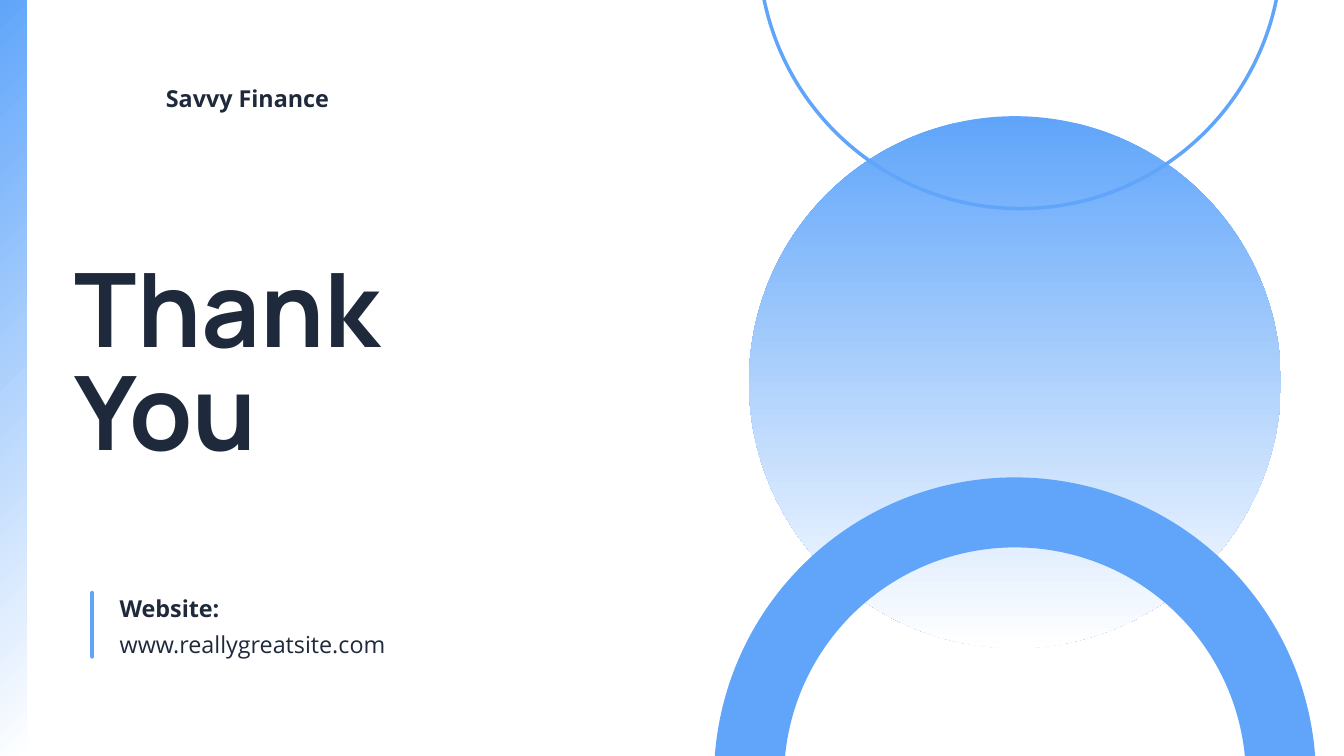
from dataclasses import dataclass
from typing import Optional

from lxml import etree
from pptx import Presentation
from pptx.dml.color import RGBColor
from pptx.enum import shapes, text
from pptx.oxml import ns
from pptx.util import Pt

PX = 9525  # EMU per px, 96 px to the inch
WIDTH, HEIGHT = 1920, 1080

BLUE = RGBColor(0x60, 0xA5, 0xFA)
WHITE = RGBColor(0xFF, 0xFF, 0xFF)
NAVY = RGBColor(0x1E, 0x29, 0x3B)


@dataclass(frozen=True)
class Circle:
    left: int
    top: int
    size: int
    line_pt: Optional[float] = None  # None: gradient disc


@dataclass(frozen=True)
class Label:
    words: str
    left: int
    top: int
    width: int
    height: int
    font: str = "Open Sans"
    size: int = 25
    spacing: int = 35
    bold: bool = True
    align: text.PP_ALIGN = text.PP_ALIGN.LEFT


TITLE = dict(left=107, height=208, font="Manrope", size=110, spacing=154,
             align=text.PP_ALIGN.JUSTIFY)
SMALL = dict(width=418, height=44)

CIRCLES = [
    Circle(1070, 166, 760),
    Circle(1084, -449, 747, line_pt=3.75),
    Circle(1070, 732, 760, line_pt=75),
]
LABELS = [
    Label("Thank", top=321, width=1001, **TITLE),
    Label("You", top=468, width=803, **TITLE),
    Label("Savvy Finance", 237, 113, **SMALL),
    Label("Website:", 171, 842, **SMALL),
    Label("www.reallygreatsite.com", 171, 894, bold=False, **SMALL),
]


def fill_gradient(sp, angle: int) -> None:
    """Blue to white; the angle runs counter-clockwise."""
    sp.fill.gradient()
    sp.fill.gradient_angle = angle
    for stop, color in zip(sp.fill.gradient_stops, (BLUE, WHITE)):
        stop.color.rgb = color
    sp.line.fill.background()


def add_bar(s, width: int) -> None:
    sp = s.shapes.add_shape(shapes.MSO_SHAPE.RECTANGLE, 0, 0, width * PX, HEIGHT * PX)
    sp.shadow.inherit = False
    fill_gradient(sp, 315)


def add_rule(s, x: int, top: int, bottom: int) -> None:
    rule = s.shapes.add_connector(shapes.MSO_CONNECTOR.STRAIGHT,
                                  x * PX, top * PX, x * PX, bottom * PX)
    rule.line.color.rgb = BLUE
    rule.line.width = Pt(4.5)
    rule.line._get_or_add_ln().set("cap", "rnd")
    etree.SubElement(rule._element.spPr, ns.qn("a:effectLst"))


def add_circle(s, c: Circle) -> None:
    sp = s.shapes.add_shape(shapes.MSO_SHAPE.OVAL, c.left * PX, c.top * PX,
                            c.size * PX, c.size * PX)
    sp.shadow.inherit = False
    if c.line_pt is None:
        fill_gradient(sp, 270)
    else:
        sp.fill.background()
        sp.line.color.rgb = BLUE
        sp.line.width = Pt(c.line_pt)


def add_label(s, label: Label) -> None:
    box = s.shapes.add_textbox(label.left * PX, label.top * PX,
                               label.width * PX, label.height * PX)
    tf = box.text_frame
    tf.margin_left = tf.margin_top = tf.margin_right = tf.margin_bottom = 0
    tf.word_wrap = True
    tf.auto_size = text.MSO_AUTO_SIZE.SHAPE_TO_FIT_TEXT
    tf.text = label.words
    p = tf.paragraphs[0]
    p.alignment = label.align
    p.line_spacing = Pt(label.spacing)
    r = p.runs[0]
    r.font.name = label.font
    r.font.size = Pt(label.size)
    r.font.bold = label.bold
    r.font.color.rgb = NAVY


def main() -> None:
    prs = Presentation()
    prs.slide_width, prs.slide_height = WIDTH * PX, HEIGHT * PX
    s = prs.slides.add_slide(prs.slide_layouts[6])
    s.background.fill.solid()
    s.background.fill.fore_color.rgb = WHITE

    # Left edge and website rule
    add_bar(s, 38)
    add_rule(s, 132, 847, 938)

    # Disc and rings
    for circle in CIRCLES:
        add_circle(s, circle)

    # Title, name and website
    for label in LABELS:
        add_label(s, label)

    prs.save("out.pptx")


if __name__ == "__main__":
    main()
